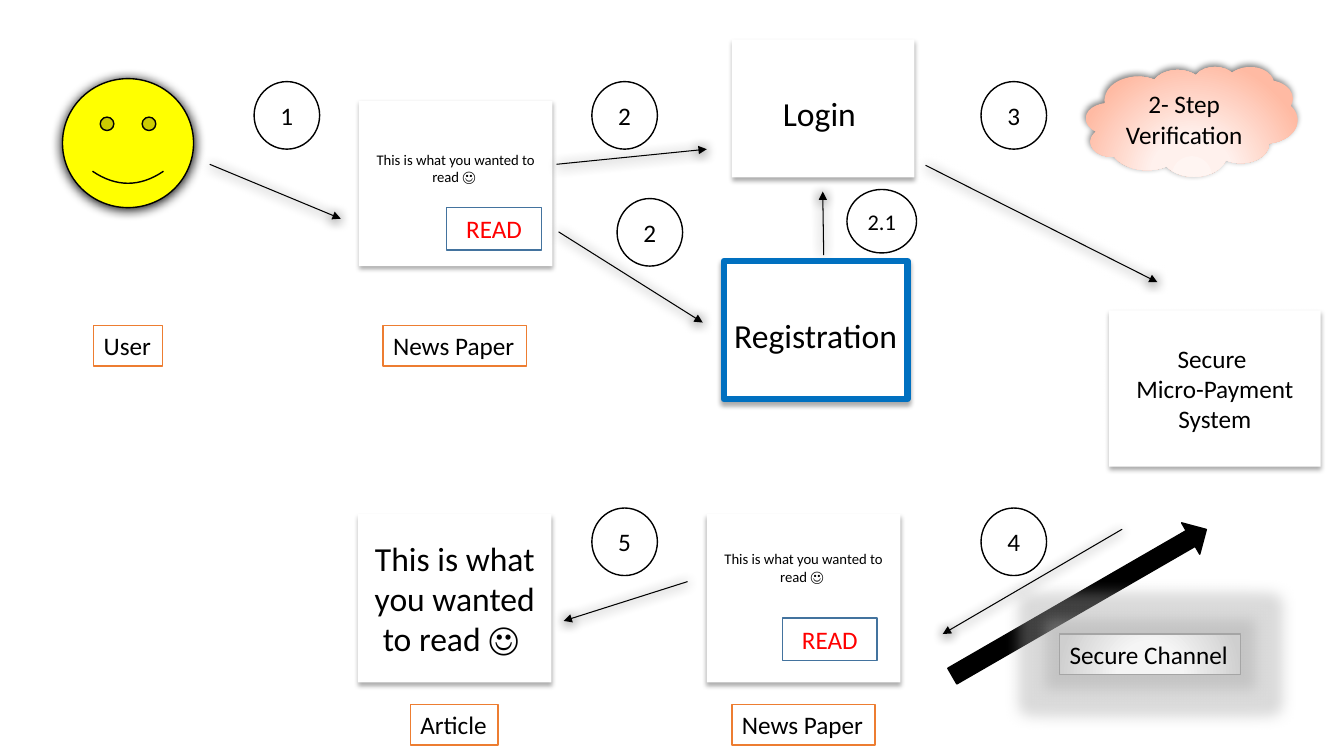
from dataclasses import dataclass

from pptx import Presentation
from pptx.dml.color import RGBColor
from pptx.enum.shapes import MSO_CONNECTOR as Connector
from pptx.enum.shapes import MSO_SHAPE as Shape
from pptx.enum.text import MSO_ANCHOR as Anchor
from pptx.enum.text import MSO_AUTO_SIZE as AutoSize
from pptx.enum.text import PP_ALIGN as Align
from pptx.oxml import parse_xml
from pptx.oxml.ns import nsdecls, qn
from pptx.util import Inches, Pt


@dataclass(frozen=True)
class Theme:
    font: str = "Calibri"
    black: str = "000000"
    white: str = "FFFFFF"
    yellow: str = "FFFF00"
    red: str = "FF0000"
    orange: str = "ED7D31"
    blue: str = "0070C0"
    steel: str = "43739E"
    gray: str = "A5A5A5"
    gray_gradient: tuple = ((0, "F8F8F8"), (34, "F5F5F5"), (100, "CFCFCF"))
    coral_gradient: tuple = ((0, "FFF5F2"), (34, "FFF1ED"), (100, "FFBAA3"))
    # colour, opacity %, blur pt, distance pt, direction degrees
    strong_shadow: tuple = ("000000", 100, 8.5, 1, 90)
    card_shadow: tuple = ("000000", 32, 3.5, 2.2, 90)
    cloud_shadow: tuple = ("000000", 50, 5, 2, 245)
    large: float = 24
    body: float = 18
    medium: float = 16
    small: float = 10.5


THEME = Theme()
MESSAGE = "This is what you wanted to read ☺ "


def tinted(color, opacity):
    return f'<a:srgbClr val="{color}"><a:alpha val="{opacity * 1000}"/></a:srgbClr>'


def shadow_xml(color, opacity, blur, distance, direction):
    return (f'<a:outerShdw blurRad="{Pt(blur)}" dist="{Pt(distance)}" '
            f'dir="{direction * 60000}" rotWithShape="0">'
            f'{tinted(color, opacity)}</a:outerShdw>')


def glow_xml(color, opacity, radius):
    return f'<a:glow rad="{Pt(radius)}">{tinted(color, opacity)}</a:glow>'


def add_effect(shape, effect):
    """Give the shape this one effect in place of the theme's own."""
    properties = shape._element.spPr
    for old in properties.findall(qn("a:effectLst")):
        properties.remove(old)
    properties.append(parse_xml(
        f'<a:effectLst {nsdecls("a")}>{effect}</a:effectLst>'))


def fill_radial(shape, stops):
    """Fill with a circular gradient whose focus lies below the shape."""
    shape.fill.background()
    properties = shape._element.spPr
    stop_xml = "".join(
        f'<a:gs pos="{position * 1000}"><a:srgbClr val="{color}"/></a:gs>'
        for position, color in stops)
    gradient = parse_xml(
        f'<a:gradFill {nsdecls("a")} rotWithShape="1"><a:gsLst>{stop_xml}</a:gsLst>'
        '<a:path path="circle"><a:fillToRect l="50000" t="155000" '
        'r="50000" b="-55000"/></a:path></a:gradFill>')
    properties.replace(properties.find(qn("a:noFill")), gradient)


def add_box(slide, kind, bounds, fill=THEME.white, line=None, width=1, effect=""):
    shape = slide.shapes.add_shape(kind, *map(Inches, bounds))
    if isinstance(fill, tuple):
        fill_radial(shape, fill)
    else:
        shape.fill.solid()
        shape.fill.fore_color.rgb = RGBColor.from_string(fill)
    if line:
        shape.line.color.rgb = RGBColor.from_string(line)
        shape.line.width = Pt(width)
    else:
        shape.line.fill.background()
    add_effect(shape, effect)
    return shape


def write(shape, text, size=THEME.body, color=THEME.black, align=Align.CENTER, **frame):
    text_frame = shape.text_frame
    settings = {"word_wrap": True, "vertical_anchor": Anchor.MIDDLE, **frame}
    for name, value in settings.items():
        setattr(text_frame, name, value)
    text_frame.text = text
    for paragraph in text_frame.paragraphs:
        paragraph.alignment = align
        font = paragraph.runs[0].font
        font.name, font.size = THEME.font, Pt(size)
        font.color.rgb = RGBColor.from_string(color)


def add_card(slide, bounds, text, size=THEME.body, line=None, width=1, **frame):
    card = add_box(slide, Shape.RECTANGLE, bounds, line=line, width=width,
                   effect=shadow_xml(*THEME.card_shadow))
    write(card, text, size, **frame)


def add_newspaper(slide, bounds, button_at, space_below):
    add_card(slide, bounds, MESSAGE, THEME.small, margin_bottom=Inches(space_below))
    button = add_box(slide, Shape.RECTANGLE, (*button_at, 0.94, 0.42), line=THEME.steel)
    write(button, "READ", color=THEME.red)


def add_label(slide, bounds, text, fill=THEME.white, line=THEME.orange, width=1, effect=""):
    label = add_box(slide, Shape.RECTANGLE, bounds, fill, line, width, effect)
    write(label, text, align=Align.LEFT, word_wrap=False,
          vertical_anchor=Anchor.TOP, auto_size=AutoSize.SHAPE_TO_FIT_TEXT)


def add_step(slide, number, left, top, width=0.65, height=0.67, size=THEME.body):
    circle = add_box(slide, Shape.OVAL, (left, top, width, height), line=THEME.black)
    write(circle, number, size, margin_left=0, margin_right=0)


def add_arrow(slide, start, end):
    arrow = slide.shapes.add_connector(
        Connector.STRAIGHT, *map(Inches, (*start, *end)))
    arrow.line.color.rgb = RGBColor.from_string(THEME.black)
    arrow.line.width = Pt(0.75)
    arrow.line._get_or_add_ln().append(
        parse_xml(f'<a:tailEnd {nsdecls("a")} type="triangle"/>'))
    add_effect(arrow, shadow_xml(*THEME.strong_shadow))


def main():
    presentation = Presentation()
    presentation.slide_width, presentation.slide_height = Inches(13.33), Inches(7.5)
    slide = presentation.slides.add_slide(presentation.slide_layouts[6])

    add_box(slide, Shape.SMILEY_FACE, (0.62, 0.78, 1.3, 1.28), THEME.yellow,
            THEME.black, effect=shadow_xml(*THEME.strong_shadow))
    add_newspaper(slide, (3.56, 1, 1.92, 1.64), (4.43, 2.06), 0.35)
    add_newspaper(slide, (7.01, 5.1, 1.92, 1.67), (7.76, 6.13), 0.65)
    add_card(slide, (3.55, 5.1, 1.92, 1.67), MESSAGE, THEME.large)

    for start, end in (
        ((2.08, 1.63), (3.38, 2.17)),
        ((5.52, 1.63), (7.01, 1.48)),
        ((9.18, 1.64), (11.48, 2.8)),
        ((11.13, 5.25), (9.35, 6.29)),
        ((6.82, 5.77), (5.59, 6.16)),
        ((5.54, 2.3), (6.97, 3.2)),
        ((8.17, 2.53), (8.16, 1.9)),
    ):
        add_arrow(slide, start, end)

    for left, top, width, text in (
        (0.93, 3.23, 0.68, "User"),
        (3.8, 3.23, 1.42, "News Paper"),
        (4.07, 6.99, 0.87, "Article"),
        (7.26, 6.99, 1.42, "News Paper"),
    ):
        add_label(slide, (left, top, width, 0.4), text)

    channel = add_box(slide, Shape.RIGHT_ARROW, (9.25, 5.8, 2.91, 0.36),
                      THEME.black, THEME.black)
    channel.rotation = 330
    add_label(slide, (10.51, 6.29, 1.79, 0.4), "Secure Channel", THEME.gray_gradient,
              THEME.gray, 0.75, glow_xml(THEME.gray, 40, 20))

    account_text = {"size": THEME.large, "margin_top": Inches(0.14),
                    "margin_left": Inches(0.05), "margin_right": Inches(0.05)}
    add_card(slide, (7.26, 0.39, 1.81, 1.37), "Login ", **account_text)
    add_card(slide, (7.18, 2.59, 1.82, 1.37), "Registration",
             line=THEME.blue, width=4.5, **account_text)
    add_card(slide, (11, 3.08, 2.1, 1.55), "Secure \nMicro-Payment\nSystem")

    for number, left, top in (
        ("1", 2.52, 0.81), ("2", 5.87, 0.81), ("3", 9.73, 0.81),
        ("4", 9.73, 5.04), ("5", 5.87, 5.04), ("2", 6.12, 1.97),
    ):
        add_step(slide, number, left, top)
    add_step(slide, "2.1", 8.4, 1.88, 0.69, 0.63, THEME.medium)

    cloud = add_box(slide, Shape.CLOUD, (10.77, 0.66, 2.1, 1.09), THEME.coral_gradient,
                    effect=shadow_xml(*THEME.cloud_shadow))
    write(cloud, "2- Step\nVerification",
          margin_left=Inches(0.05), margin_right=Inches(0.05))

    presentation.save("out.pptx")


if __name__ == "__main__":
    main()
